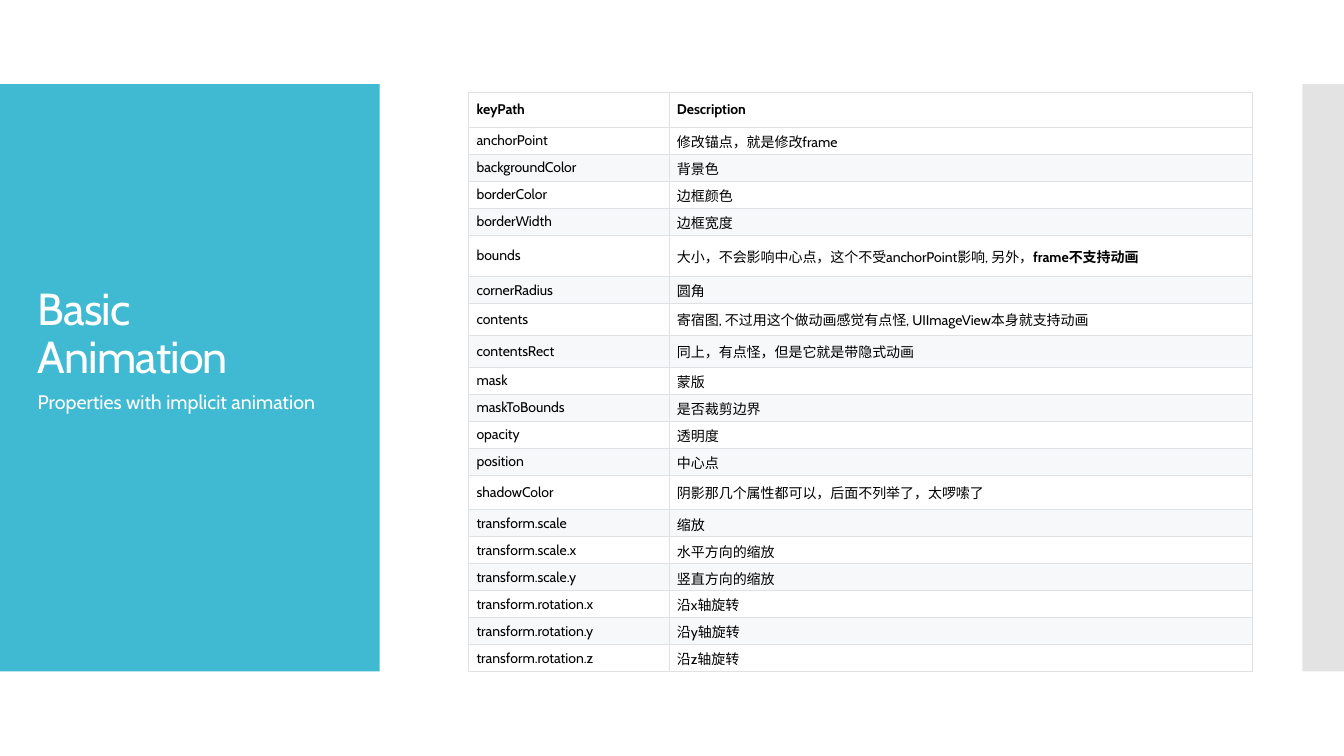
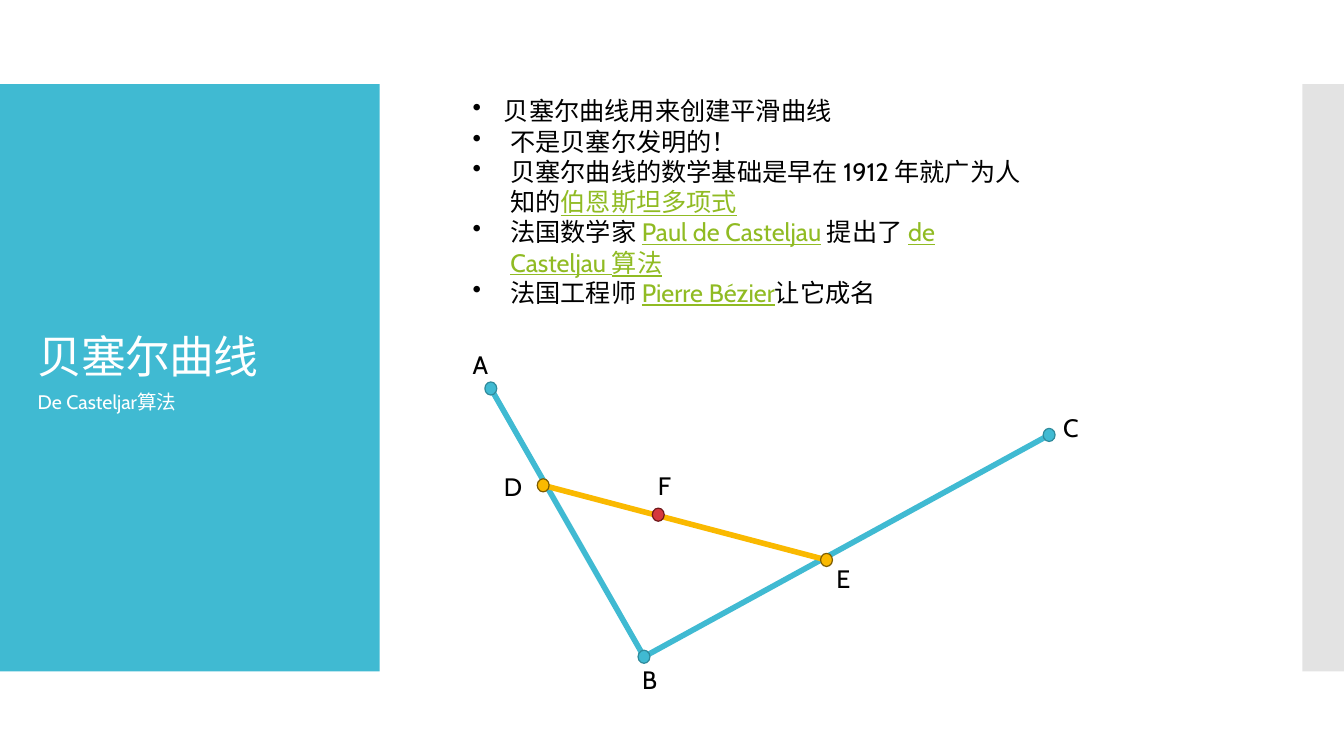
from dataclasses import dataclass
from itertools import pairwise

from lxml import etree
from pptx import Presentation
from pptx.dml.color import RGBColor
from pptx.enum.shapes import MSO_CONNECTOR, MSO_SHAPE
from pptx.enum.text import MSO_ANCHOR
from pptx.oxml.ns import qn
from pptx.util import Cm, Pt

RECTANGLE = MSO_SHAPE.RECTANGLE
ELLIPSE = MSO_SHAPE.OVAL
STRAIGHT = MSO_CONNECTOR.STRAIGHT
TOP, MIDDLE, BOTTOM = MSO_ANCHOR.TOP, MSO_ANCHOR.MIDDLE, MSO_ANCHOR.BOTTOM
PLAIN, BOLD, LINK = "plain", "bold", "link"


@dataclass(frozen=True)
class Theme:
    """Colours, font and type sizes of the presentation."""
    font: str = "Cabin"
    accent: str = "40BAD2"
    accent_dark: str = "2F8A9B"
    yellow: str = "FAB900"
    yellow_dark: str = "7D5C00"
    red: str = "D5393D"
    red_dark: str = "6F181A"
    grey: str = "C8C8C8"
    border: str = "DFE2E5"
    stripe: str = "F6F8FA"
    link: str = "90BB23"
    white: str = "FFFFFF"
    black: str = "000000"
    title_size: int = 32
    subtitle_size: int = 14
    body_size: int = 18
    table_size: int = 10


def rgb(colour):
    """Turn a hex string into a colour."""
    return RGBColor.from_string(colour)


class Deck:
    """Holds the theme and the current slide, and draws its elements."""

    def __init__(self, theme):
        """Start an empty widescreen presentation."""
        self.theme = theme
        self.presentation = Presentation()
        self.presentation.slide_width = Cm(33.87)
        self.presentation.slide_height = Cm(19.05)
        self.slide = None

    def add_slide(self, title, subtitle):
        """Add a slide with its side bands, title and subtitle."""
        theme = self.theme
        self.slide = self.presentation.slides.add_slide(self.presentation.slide_layouts[6])
        self.shape(RECTANGLE, 0, 2.12, 9.57, 14.8, theme.accent)
        edge = self.shape(RECTANGLE, 32.82, 2.12, 1.05, 14.8, theme.grey)
        colour = edge.fill._xPr.find(qn("a:solidFill"))[0]
        etree.SubElement(colour, qn("a:alpha"), val="50000")
        heading = self.text(0.7, 3.18, 7.87, 6.6, title, theme.title_size, theme.white, BOTTOM)
        heading.margin_right = Cm(0.5)
        paragraph = heading.paragraphs[0]
        paragraph.line_spacing = 0.9
        paragraph.runs[0]._r.get_or_add_rPr().set("spc", "-60")
        self.text(0.7, 9.7, 7.87, 6.45, subtitle, theme.subtitle_size, theme.white)

    def shape(self, kind, left, top, width, height, fill, outline=None):
        """Draw a filled preset shape, outlined on request."""
        shape = self.slide.shapes.add_shape(kind, Cm(left), Cm(top), Cm(width), Cm(height))
        shape.shadow.inherit = False
        shape.fill.solid()
        shape.fill.fore_color.rgb = rgb(fill)
        if outline:
            shape.line.color.rgb = rgb(outline)
            shape.line.width = Pt(0.85)
        else:
            shape.line.fill.background()
        return shape

    def style_run(self, run, size, colour, style=PLAIN):
        """Format one run of text."""
        run.font.name = self.theme.font
        run.font.size = Pt(size)
        run.font.bold = style == BOLD
        run.font.underline = style == LINK
        run.font.color.rgb = rgb(self.theme.link if style == LINK else colour)

    def fill_paragraph(self, paragraph, parts, size, colour):
        """Write styled parts into a paragraph."""
        for text, style in parts:
            run = paragraph.add_run()
            run.text = text
            self.style_run(run, size, colour, style)

    def text_frame(self, left, top, width, height, anchor=TOP):
        """Add an empty wrapping text box and return its frame."""
        box = self.slide.shapes.add_textbox(Cm(left), Cm(top), Cm(width), Cm(height))
        box.text_frame.word_wrap = True
        box.text_frame.vertical_anchor = anchor
        return box.text_frame

    def text(self, left, top, width, height, text, size, colour, anchor=TOP):
        """Add a text box with one run."""
        frame = self.text_frame(left, top, width, height, anchor)
        frame.text = text
        self.style_run(frame.paragraphs[0].runs[0], size, colour)
        return frame

    def bullets(self, left, top, width, height, items):
        """Add a bulleted list of (indent, parts) items."""
        frame = self.text_frame(left, top, width, height)
        for index, (indent, parts) in enumerate(items):
            paragraph = frame.add_paragraph() if index else frame.paragraphs[0]
            properties = paragraph._p.get_or_add_pPr()
            properties.set("marL", str(Cm(indent)))
            properties.set("indent", str(-Cm(indent)))
            etree.SubElement(properties, qn("a:buChar"), char="•")
            self.fill_paragraph(paragraph, parts, self.theme.body_size, self.theme.black)

    def cell_borders(self, cell):
        """Draw the four thin borders of a cell."""
        properties = cell._tc.get_or_add_tcPr()
        for index, side in enumerate(("lnL", "lnR", "lnT", "lnB")):
            line = etree.Element(qn(f"a:{side}"), w=str(Pt(0.75)))
            fill = etree.SubElement(line, qn("a:solidFill"))
            etree.SubElement(fill, qn("a:srgbClr"), val=self.theme.border)
            properties.insert(index, line)

    def table(self, left, top, widths, rows, row_height, tall_rows):
        """Add a bordered table with a bold header and striped rows."""
        theme = self.theme
        heights = [tall_rows.get(row[0], row_height) for row in rows]
        table = self.slide.shapes.add_table(
            len(rows), len(widths), Cm(left), Cm(top), Cm(sum(widths)), Cm(sum(heights))).table
        table.first_row = table.horz_banding = False
        for column, width in zip(table.columns, widths):
            column.width = Cm(width)
        for index, (row, values) in enumerate(zip(table.rows, rows)):
            row.height = Cm(heights[index])
            striped = index > 0 and index % 2 == 0
            for cell, value in zip(row.cells, values):
                parts = value
                if isinstance(value, str):
                    parts = [(value, PLAIN if index else BOLD)]
                self.fill_paragraph(
                    cell.text_frame.paragraphs[0], parts, theme.table_size, theme.black)
                cell.vertical_anchor = MIDDLE
                cell.margin_left = cell.margin_right = Cm(0.2)
                cell.margin_top = cell.margin_bottom = Cm(0.1)
                cell.fill.solid()
                cell.fill.fore_color.rgb = rgb(theme.stripe if striped else theme.white)
                self.cell_borders(cell)

    def line(self, start, end, colour):
        """Draw a thick straight line between two points."""
        connector = self.slide.shapes.add_connector(STRAIGHT, *map(Cm, start + end))
        connector.line.color.rgb = rgb(colour)
        connector.line.width = Pt(4)
        etree.SubElement(connector._element.spPr, qn("a:effectLst"))

    def dot(self, centre, fill, outline):
        """Draw a small dot around a centre point."""
        width, height = 0.3, 0.33
        x, y = centre
        self.shape(ELLIPSE, x - width / 2, y - height / 2, width, height, fill, outline)

    def label(self, position, text):
        """Write the letter of a point."""
        self.text(*position, 1.3, 1.04, text, self.theme.body_size, self.theme.black)


PROPERTIES = [
    ("keyPath", "Description"),
    ("anchorPoint", "修改锚点，就是修改frame"),
    ("backgroundColor", "背景色"),
    ("borderColor", "边框颜色"),
    ("borderWidth", "边框宽度"),
    ("bounds", [("大小，不会影响中心点，这个不受anchorPoint影响, 另外，", PLAIN),
                ("frame不支持动画", BOLD)]),
    ("cornerRadius", "圆角"),
    ("contents", "寄宿图, 不过用这个做动画感觉有点怪, UIImageView本身就支持动画"),
    ("contentsRect", "同上，有点怪，但是它就是带隐式动画"),
    ("mask", "蒙版"),
    ("maskToBounds", "是否裁剪边界"),
    ("opacity", "透明度"),
    ("position", "中心点"),
    ("shadowColor", "阴影那几个属性都可以，后面不列举了，太啰嗦了"),
    ("transform.scale", "缩放"),
    ("transform.scale.x", "水平方向的缩放"),
    ("transform.scale.y", "竖直方向的缩放"),
    ("transform.rotation.x", "沿x轴旋转"),
    ("transform.rotation.y", "沿y轴旋转"),
    ("transform.rotation.z", "沿z轴旋转"),
]
TALL_ROWS = {"keyPath": 0.88, "bounds": 1.04, "contents": 0.8,
             "contentsRect": 0.8, "shadowColor": 0.88}

HISTORY = [
    (0.79, [("贝塞尔曲线用来创建平滑曲线", PLAIN)]),
    (0.95, [("不是贝塞尔发明的！", PLAIN)]),
    (0.95, [("贝塞尔曲线的数学基础是早在 1912 年就广为人知的", PLAIN),
            ("伯恩斯坦多项式", LINK)]),
    (0.95, [("法国数学家 ", PLAIN), ("Paul de Casteljau", LINK),
            (" 提出了 ", PLAIN), ("de Casteljau 算法", LINK)]),
    (0.95, [("法国工程师 ", PLAIN), ("Pierre Bézier", LINK), ("让它成名", PLAIN)]),
]

POINTS = {"A": (12.37, 9.79), "B": (16.23, 16.55), "C": (26.44, 10.96),
          "D": (13.69, 12.23), "E": (20.83, 14.11), "F": (16.59, 12.97)}
LABELS = {"A": (11.66, 8.69), "B": (15.93, 16.61), "C": (26.54, 10.26),
          "D": (12.45, 11.76), "E": (20.83, 14.07), "F": (16.33, 11.73)}


def add_properties_slide(deck):
    """Build the table of animatable properties."""
    deck.add_slide("Basic Animation", "Properties with implicit animation")
    deck.table(11.81, 2.33, (5.05, 14.71), PROPERTIES, 0.68, TALL_ROWS)


def add_curve_slide(deck):
    """Build the curve construction slide."""
    theme = deck.theme
    deck.add_slide("贝塞尔曲线", "De Casteljar算法")
    levels = [("ABC", theme.accent, theme.accent_dark),
              ("DE", theme.yellow, theme.yellow_dark),
              ("F", theme.red, theme.red_dark)]
    for names, fill, outline in levels:
        for start, end in pairwise(names):
            deck.line(POINTS[start], POINTS[end], fill)
        for name in names:
            deck.dot(POINTS[name], fill, outline)
            deck.label(LABELS[name], name)
    deck.bullets(11.66, 2.29, 14.63, 5.64, HISTORY)


def main():
    """Build and save the presentation."""
    deck = Deck(Theme())
    add_properties_slide(deck)
    add_curve_slide(deck)
    deck.presentation.save("out.pptx")


if __name__ == "__main__":
    main()
